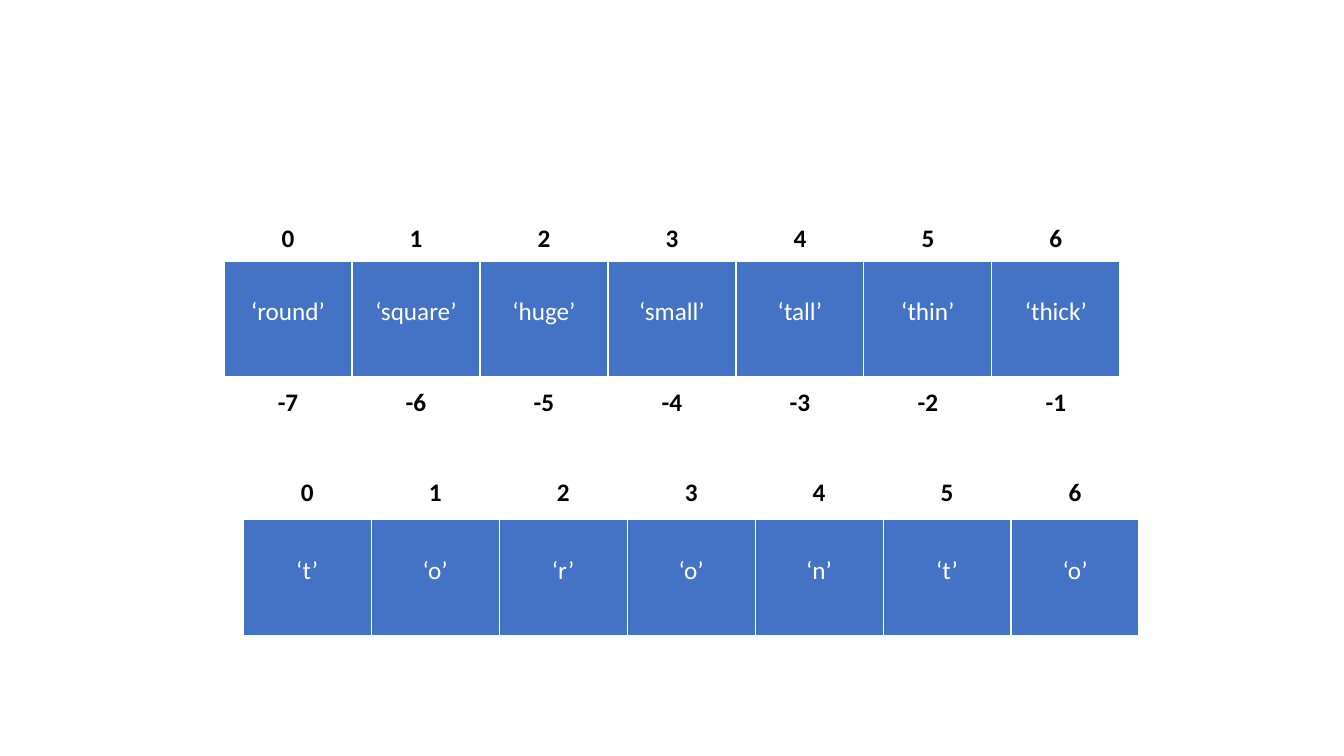
from dataclasses import dataclass

from lxml import etree
from pptx import Presentation
from pptx.dml.color import RGBColor
from pptx.enum.text import PP_ALIGN
from pptx.oxml.ns import qn
from pptx.util import Pt

CENTER = PP_ALIGN.CENTER


@dataclass(frozen=True)
class Theme:
    """Colours, type and measures of the slide, with lengths in points."""
    blue: str = "4472C4"
    white: str = "FFFFFF"
    black: str = "000000"
    font: str = "Calibri"
    text_size: float = 18
    column_width: float = 91.44
    value_height: float = 84.24
    index_height: float = 29.2
    value_inset: float = 25.56
    index_inset: float = 3.6
    borders: tuple = (("a:lnL", 1), ("a:lnR", 1), ("a:lnT", 1), ("a:lnB", 3))


class SequenceSlide:
    """Draws sequences and their index rows as tables on one slide."""

    def __init__(self, slide, theme):
        self.slide = slide
        self.theme = theme

    def values(self, left, top, items):
        """Add a row of quoted items in blue cells."""
        quoted = [f"‘{item}’" for item in items]
        theme = self.theme
        self._row(left, top, theme.value_height, quoted, theme.blue,
                  theme.white, False, theme.value_inset)

    def indices(self, left, top, numbers):
        """Add a row of bold index numbers in white cells."""
        theme = self.theme
        self._row(left, top, theme.index_height, numbers, theme.white,
                  theme.black, True, theme.index_inset)

    def _row(self, left, top, height, entries, fill, ink, bold, inset):
        """Add a one-row table with equal columns."""
        width = self.theme.column_width
        table = self.slide.shapes.add_table(
            1, len(entries), Pt(left), Pt(top),
            Pt(width * len(entries)), Pt(height)).table
        table.first_row = False
        table.horz_banding = False
        for column, cell, entry in zip(table.columns, table.rows[0].cells, entries):
            column.width = Pt(width)
            self._border(cell)
            cell.fill.solid()
            cell.fill.fore_color.rgb = RGBColor.from_string(fill)
            cell.margin_top = Pt(inset)
            cell.text_frame.text = str(entry)
            paragraph = cell.text_frame.paragraphs[0]
            paragraph.alignment = CENTER
            font = paragraph.runs[0].font
            font.name = self.theme.font
            font.size = Pt(self.theme.text_size)
            font.bold = bold
            font.color.rgb = RGBColor.from_string(ink)

    def _border(self, cell):
        """Give a cell white lines on all four sides."""
        properties = cell._tc.get_or_add_tcPr()
        for side, weight in self.theme.borders:
            line = etree.SubElement(properties, qn(side), w=str(Pt(weight)))
            paint = etree.SubElement(line, qn("a:solidFill"))
            etree.SubElement(paint, qn("a:srgbClr"), val=self.theme.white)


def main():
    """Build the slide with a list of words and a string, both indexed."""
    deck = Presentation()
    deck.slide_width, deck.slide_height = Pt(960), Pt(540)
    page = SequenceSlide(deck.slides.add_slide(deck.slide_layouts[6]), Theme())

    shapes = ["round", "square", "huge", "small", "tall", "thin", "thick"]
    city = "toronto"
    shapes_left, city_left = 160, 173.7

    page.values(shapes_left, 186, shapes)
    page.indices(shapes_left, 156.3, range(len(shapes)))
    page.indices(shapes_left, 273, range(-len(shapes), 0))
    page.values(city_left, 371, city)
    page.indices(city_left, 337.5, range(len(city)))

    deck.save("out.pptx")


if __name__ == "__main__":
    main()
